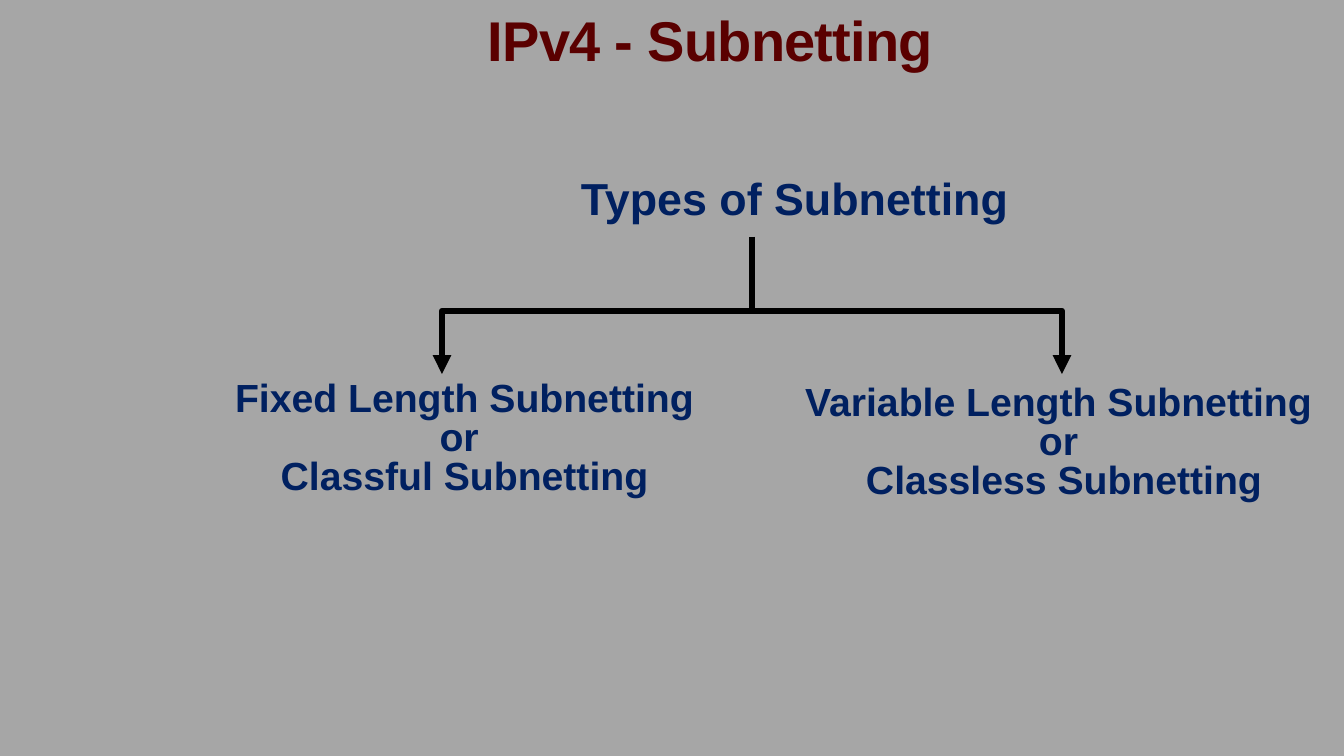
from lxml import etree
from pptx import Presentation
from pptx import util as u
from pptx.dml.color import RGBColor
from pptx.enum import text
from pptx.oxml.ns import qn

PX = 914400 / 100.8
WIDTH, HEIGHT = 1344, 756
GREY, MAROON, NAVY, BLACK = "A6A6A6", "5A0000", "002060", "000000"

# Content: lines of text and box (left, top, width, height) in px
TITLE = (["IPv4 - Subnetting"], (478, 0, 494, 78))
ROOT = (["Types of Subnetting"], (571, 180, 494, 50))
KINDS = [
    (["Fixed Length Subnetting", "or ", "Classful Subnetting"], (198, 376, 533, 129)),
    (["Variable Length Subnetting ", "or ", "Classless Subnetting"], (772, 380, 584, 129)),
]

# Tree: stem position, its three levels, and the reach of each branch
STEM_X, STEM_TOP, FORK_Y, TIP_Y = 752, 237, 311, 374
REACH = 310


def px(length):
    return u.Emu(round(length * PX))


def color(value):
    return RGBColor.from_string(value)


def add_text(page, content, size, fill, spacing, align=text.PP_ALIGN.LEFT):
    lines, place = content
    box = page.shapes.add_textbox(*map(px, place))
    frame = box.text_frame
    frame.word_wrap = True
    frame.text = "\n".join(lines)
    for para in frame.paragraphs:
        para.alignment = align
        para.line_spacing = spacing
        para.font.name = "Arial"
        para.font.size = u.Pt(size)
        para.font.bold = True
        para.font.color.rgb = color(fill)
    return frame


def add_branch(page, tip_x):
    builder = page.shapes.build_freeform(STEM_X, STEM_TOP, scale=PX)
    builder.add_line_segments(
        [(STEM_X, FORK_Y), (tip_x, FORK_Y), (tip_x, TIP_Y)], close=False)
    branch = builder.convert_to_shape()
    branch.shadow.inherit = False
    branch.fill.background()
    branch.line.color.rgb = color(BLACK)
    branch.line.width = u.Pt(4.5)
    line = branch.line._get_or_add_ln()
    etree.SubElement(line, qn("a:round"))
    etree.SubElement(line, qn("a:tailEnd"), type="triangle")


deck = Presentation()
deck.slide_width, deck.slide_height = px(WIDTH), px(HEIGHT)
page = deck.slides.add_slide(deck.slide_layouts[6])
page.background.fill.solid()
page.background.fill.fore_color.rgb = color(GREY)

# Title, with slightly tightened letters
title = add_text(page, TITLE, 40, MAROON, 0.85)
title.vertical_anchor = text.MSO_ANCHOR.BOTTOM
for span in title.paragraphs[0].runs:
    span.font._element.set("spc", "-50")

# Root and kinds of subnetting
add_text(page, ROOT, 32, NAVY, u.Pt(28))
for kind in KINDS:
    add_text(page, kind, 28, NAVY, u.Pt(28), text.PP_ALIGN.CENTER)

# Branches to both sides
for side in (-1, 1):
    add_branch(page, STEM_X + side * REACH)

deck.save("out.pptx")
